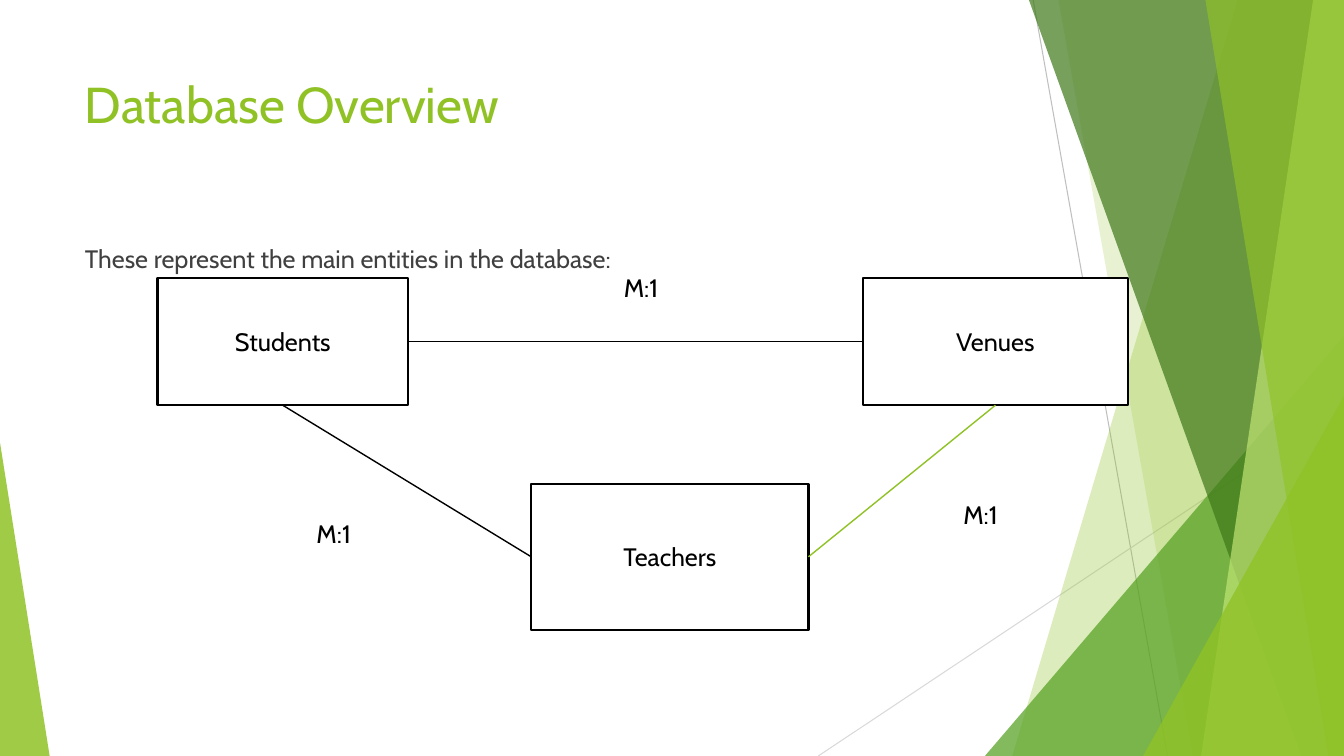
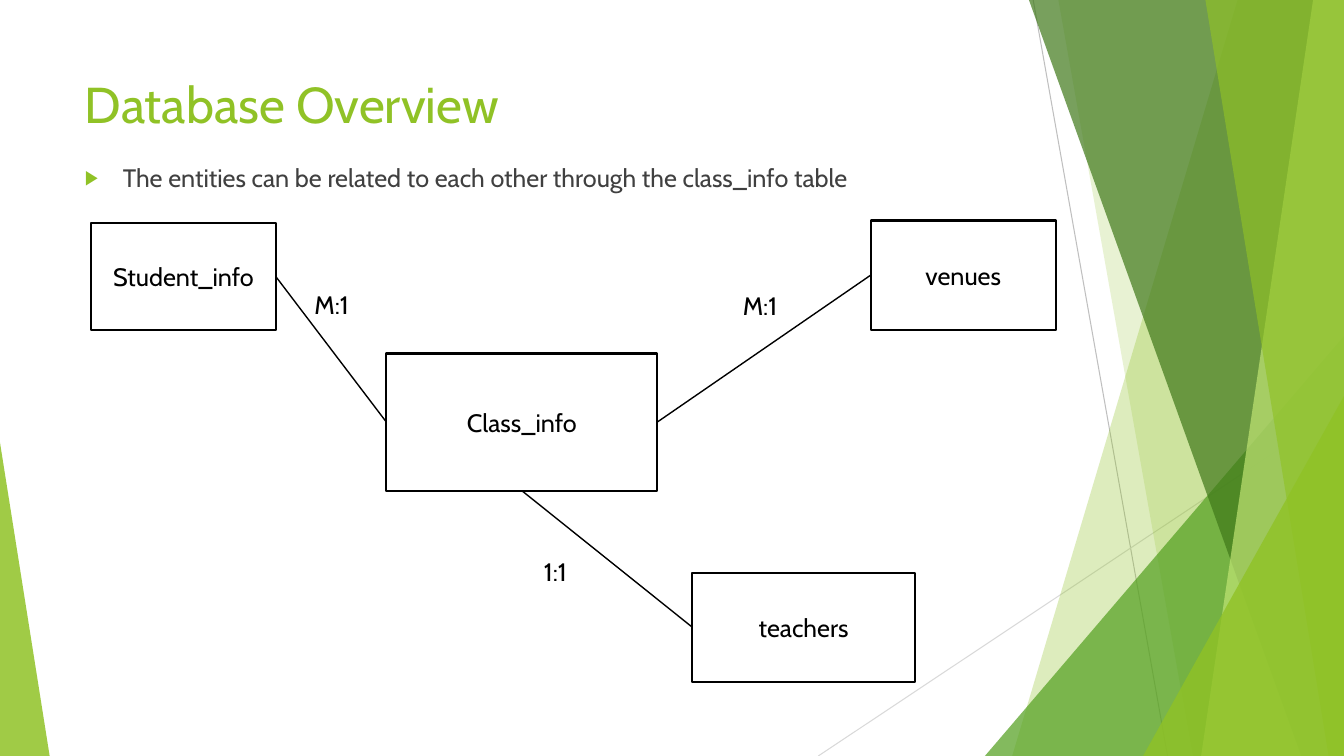
from dataclasses import dataclass

from lxml.etree import SubElement
from pptx import Presentation
from pptx.dml.color import RGBColor
from pptx.enum.shapes import MSO_CONNECTOR, MSO_SHAPE
from pptx.enum.text import MSO_ANCHOR, MSO_AUTO_SIZE, PP_ALIGN
from pptx.oxml.ns import qn
from pptx.util import Pt


@dataclass(frozen=True)
class Theme:
    """Colours, type sizes and line widths of the presentation."""

    font: str = "Cabin"
    accent: str = "90C226"
    green: str = "54A021"
    dark: str = "3F7819"
    pale: str = "C0E474"
    grey: str = "BFBFBF"
    light_grey: str = "D9D9D9"
    text: str = "404040"
    ink: str = "000000"
    paper: str = "FFFFFF"
    title_size: float = 36
    body_size: float = 18
    hairline: float = 0.75
    link_line: float = 1
    entity_line: float = 1.5


THEME = Theme()
WIDTH, HEIGHT = 960, 540
TOP, LEFT, BOTTOM, RIGHT = range(4)
TITLE_BOX = (53.5, 48.5, 677, 103.5)

RAYS = [
    ((738, 0), (834, HEIGHT), THEME.grey),
    ((WIDTH, 290), (584.5, HEIGHT), THEME.light_grey),
]
FACETS = [
    ("band", 884, 723, THEME.accent, 30),
    ("band", 756, 852, THEME.accent, 20),
    ("corner", 703.5, 240, THEME.green, 72),
    ("band", 735, 929.5, THEME.dark, 70),
    ("band", 938, 858, THEME.pale, 70),
    ("band", 861, 949, THEME.accent, 65),
    ("corner", 816.5, 283, THEME.accent, 80),
]

SLIDES = [
    {
        "title": "Database Overview",
        "body": "These represent the main entities in the database:",
        "body_box": (53.5, 170, 677, 305),
        "bulleted": False,
        "diagram_box": (112.5, 198.5, 693, 251.5),
        "entities": {
            "Students": (0, 0, 179, 91),
            "Venues": (504, 0, 189, 91),
            "Teachers": (267, 147, 198, 104.5),
        },
        "links": [
            ("Students", RIGHT, "Venues", LEFT, THEME.ink),
            ("Students", BOTTOM, "Teachers", LEFT, THEME.ink),
            ("Teachers", RIGHT, "Venues", BOTTOM, THEME.accent),
        ],
        "labels": [
            ("M:1", (106.5, 168.5, 64, 29)),
            ("M:1", (326, -7.5, 59, 29)),
            ("M:1", (568.5, 154.5, 77, 29)),
        ],
    },
    {
        "title": "Database Overview",
        "body": "The entities can be related to each other through the class_info table",
        "body_box": (53.5, 112.5, 853, 402.5),
        "bulleted": True,
        "diagram_box": (65, 157.5, 689, 329.5),
        "entities": {
            "Class_info": (211, 95, 193.5, 98),
            "Student_info": (0, 2, 132, 76),
            "venues": (557, 0, 132, 78),
            "teachers": (429.5, 251.5, 159, 78),
        },
        "links": [
            ("Student_info", RIGHT, "Class_info", LEFT, THEME.ink),
            ("Class_info", RIGHT, "venues", LEFT, THEME.ink),
            ("Class_info", BOTTOM, "teachers", LEFT, THEME.ink),
        ],
        "labels": [
            ("M:1", (152.5, 45.5, 67, 29)),
            ("1:1", (316.5, 236.5, 52, 29)),
            ("M:1", (458.5, 46, 44, 29)),
        ],
    },
]


def set_values(target, values):
    """Set each named attribute of the target."""
    for name, value in values.items():
        setattr(target, name, value)


def points(values):
    """Convert numbers to lengths in points."""
    return [Pt(value) for value in values]


def inside(box, part):
    """Return the lengths of a part given relative to its box."""
    left, top, width, height = part
    return points((box[0] + left, box[1] + top, width, height))


def place(shape, box):
    """Move and size a shape to fill a box."""
    set_values(shape, dict(zip(("left", "top", "width", "height"), points(box))))


def write(shape, text, color, size=THEME.body_size, frame=None, paragraph=None):
    """Write one formatted paragraph and return it."""
    set_values(shape.text_frame, {"word_wrap": True, **(frame or {})})
    line = shape.text_frame.paragraphs[0]
    set_values(line, paragraph or {})
    run = line.add_run()
    run.text = text
    set_values(run.font, {"name": THEME.font, "size": Pt(size)})
    run.font.color.rgb = RGBColor.from_string(color)
    return line


def paint(shape, color, opacity=100):
    """Give a shape a flat fill without line or shadow."""
    shape.shadow.inherit = False
    shape.fill.solid()
    shape.fill.fore_color.rgb = RGBColor.from_string(color)
    if opacity < 100:
        fill_color = next(shape.element.iter(qn("a:srgbClr")))
        SubElement(fill_color, qn("a:alpha"), val=str(opacity * 1000))
    shape.line.fill.background()


def outline(line, color, width):
    """Set the colour and width of a line."""
    line.color.rgb = RGBColor.from_string(color)
    line.width = Pt(width)


def add_line(shapes, start, end, color, width):
    """Draw a straight line without a shadow."""
    connector = shapes.add_connector(MSO_CONNECTOR.STRAIGHT, *points((*start, *end)))
    outline(connector.line, color, width)
    SubElement(connector.element.spPr, qn("a:effectLst"))
    return connector


def add_band(shapes, top_x, bottom_x):
    """Draw a slanted band that reaches the right edge."""
    builder = shapes.build_freeform(Pt(top_x), Pt(0))
    corners = [(WIDTH, 0), (WIDTH, HEIGHT), (bottom_x, HEIGHT)]
    builder.add_line_segments([points(corner) for corner in corners], close=True)
    return builder.convert_to_shape()


def add_corner(shapes, left, top, width, apex):
    """Draw a triangle that stands on the bottom edge."""
    box = points((left, top, width, HEIGHT - top))
    shape = shapes.add_shape(MSO_SHAPE.ISOSCELES_TRIANGLE, *box)
    shape.adjustments[0] = apex
    return shape


def decorate_layout(layout, slide):
    """Draw the faceted background once and hand it to the layout."""
    group = slide.shapes.add_group_shape()
    for start, end, color in RAYS:
        add_line(group.shapes, start, end, color, THEME.hairline)
    for kind, first, second, color, opacity in FACETS:
        if kind == "band":
            shape = add_band(group.shapes, first, second)
        else:
            shape = add_corner(group.shapes, first, second, WIDTH - first, 1)
        paint(shape, color, opacity)
    paint(add_corner(group.shapes, 0, 316, 35.5, 0), THEME.accent, 85)
    for number, properties in enumerate(group.element.iter(qn("p:cNvPr")), 100):
        properties.set("id", str(number))
    layout.shapes.element.append(group.element)


def fill_title(shape, box, text):
    """Place and write the slide title."""
    place(shape, box)
    frame = {"vertical_anchor": MSO_ANCHOR.TOP, "auto_size": MSO_AUTO_SIZE.NONE}
    write(shape, text, THEME.accent, THEME.title_size, frame,
          {"alignment": PP_ALIGN.LEFT})


def fill_body(shape, box, text, bulleted):
    """Place and write the body, with or without a bullet."""
    place(shape, box)
    frame = {"vertical_anchor": MSO_ANCHOR.TOP, "auto_size": MSO_AUTO_SIZE.NONE}
    paragraph = write(shape, text, THEME.text, frame=frame,
                      paragraph={"space_before": Pt(10)})
    properties = paragraph._p.get_or_add_pPr()
    indent = Pt(27) if bulleted else 0
    properties.set("marL", str(indent))
    properties.set("indent", str(-indent))
    if bulleted:
        bullet_color = SubElement(properties, qn("a:buClr"))
        SubElement(bullet_color, qn("a:srgbClr"), val=THEME.accent)
        SubElement(properties, qn("a:buSzPct"), val="80000")
        SubElement(properties, qn("a:buChar"), char="▶")
    else:
        SubElement(properties, qn("a:buNone"))


def add_entity(slide, box, name, part):
    """Draw one entity rectangle with its name."""
    shape = slide.shapes.add_shape(MSO_SHAPE.RECTANGLE, *inside(box, part))
    paint(shape, THEME.paper)
    outline(shape.line, THEME.ink, THEME.entity_line)
    write(shape, name, THEME.ink, frame={"vertical_anchor": MSO_ANCHOR.MIDDLE},
          paragraph={"alignment": PP_ALIGN.CENTER})
    return shape


def add_diagram(slide, box, entities, links, labels):
    """Draw entities, their links and cardinalities inside a box."""
    shapes = {name: add_entity(slide, box, name, part)
              for name, part in entities.items()}
    for source, source_side, target, target_side, color in links:
        connector = add_line(slide.shapes, (0, 0), (0, 0), color, THEME.link_line)
        connector.begin_connect(shapes[source], source_side)
        connector.end_connect(shapes[target], target_side)
    for text, part in labels:
        label = slide.shapes.add_textbox(*inside(box, part))
        write(label, text, THEME.ink,
              frame={"auto_size": MSO_AUTO_SIZE.SHAPE_TO_FIT_TEXT})


def add_overview(presentation, layout, content):
    """Add a slide with a title, a sentence and an entity diagram."""
    slide = presentation.slides.add_slide(layout)
    fill_title(slide.shapes.title, TITLE_BOX, content["title"])
    fill_body(slide.placeholders[1], content["body_box"], content["body"],
              content["bulleted"])
    add_diagram(slide, content["diagram_box"], content["entities"],
                content["links"], content["labels"])
    return slide


def main():
    """Build and save the presentation."""
    presentation = Presentation()
    set_values(presentation, {"slide_width": Pt(WIDTH), "slide_height": Pt(HEIGHT)})
    layout = presentation.slide_layouts[1]
    slides = [add_overview(presentation, layout, content) for content in SLIDES]
    decorate_layout(layout, slides[0])
    presentation.save("out.pptx")


if __name__ == "__main__":
    main()
